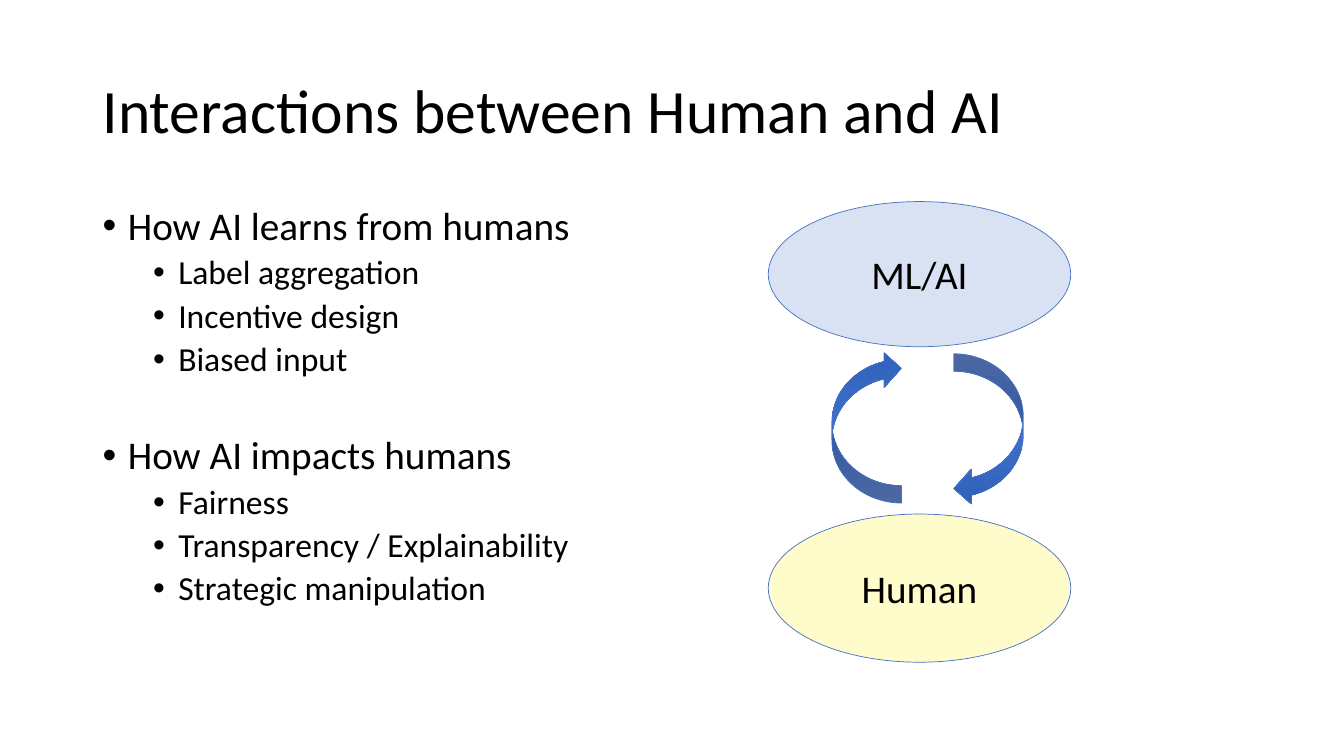
from copy import deepcopy

from pptx import Presentation
from pptx.dml.color import RGBColor
from pptx.enum.shapes import MSO_SHAPE as Shape
from pptx.enum.text import MSO_ANCHOR as Anchor, PP_ALIGN as Align
from pptx.oxml.ns import qn
from pptx.util import Inches, Pt
from lxml.etree import SubElement

BLACK = RGBColor(0x00, 0x00, 0x00)
BLUE = RGBColor(0x44, 0x72, 0xC4)
PALE = RGBColor(0xB4, 0xC7, 0xE7)
YELLOW = RGBColor(0xFF, 0xFB, 0x99)
SHADES = [RGBColor(0x61, 0x83, 0xCB), RGBColor(0x3E, 0x70, 0xCA),
          RGBColor(0x30, 0x62, 0xBB)]

TOPICS = [
    ("How AI learns from humans",
     ["Label aggregation", "Incentive design", "Biased input"]),
    ("How AI impacts humans",
     ["Fairness", "Transparency / Explainability", "Strategic manipulation"]),
]
TOPIC_GAP = 41


class Deck:
    font = "Calibri"

    def __init__(self, show):
        self.slide = show.slides.add_slide(show.slide_layouts[6])

    def add_text(self, para, text, size):
        run = para.add_run()
        run.text = text
        run.font.name = self.font
        run.font.size = Pt(size)
        run.font.color.rgb = BLACK

    def frame(self, *box):
        """Add a wrapping text box and return its text frame."""
        frame = self.slide.shapes.add_textbox(*map(Inches, box)).text_frame
        frame.word_wrap = True
        return frame

    def title(self, text, *box):
        frame = self.frame(*box)
        frame.vertical_anchor = Anchor.MIDDLE
        para = frame.paragraphs[0]
        para.line_spacing = 0.9
        self.add_text(para, text, 44)

    def bullet(self, para, text, level, gap):
        para.level = level
        para.line_spacing = 0.9
        para.space_before = Pt(gap)
        props = para._p.get_or_add_pPr()
        props.set("marL", str(Inches(0.25 + 0.5 * level)))
        props.set("indent", str(Inches(-0.25)))
        SubElement(props, qn("a:buFont")).set("typeface", "Arial")
        SubElement(props, qn("a:buChar")).set("char", "•")
        self.add_text(para, text, 28 - 4 * level)

    def topics(self, topics, *box):
        frame = self.frame(*box)
        for i, (head, points) in enumerate(topics):
            para = frame.add_paragraph() if i else frame.paragraphs[0]
            self.bullet(para, head, 0, TOPIC_GAP if i else 0)
            for point in points:
                self.bullet(frame.add_paragraph(), point, 1, 5)

    def shape(self, kind, *box):
        shape = self.slide.shapes.add_shape(kind, *map(Inches, box))
        shape.shadow.inherit = False
        shape.line.color.rgb = BLUE
        shape.line.width = Pt(0.5)
        return shape

    def oval(self, text, color, *box):
        """Add a labelled ellipse with a half-transparent fill."""
        oval = self.shape(Shape.OVAL, *box)
        oval.fill.solid()
        oval.fill.fore_color.rgb = color
        tint = oval._element.spPr.find(qn("a:solidFill"))[0]
        SubElement(tint, qn("a:alpha")).set("val", "50000")
        oval.text_frame.vertical_anchor = Anchor.MIDDLE
        para = oval.text_frame.paragraphs[0]
        para.alignment = Align.CENTER
        self.add_text(para, text, 28)

    def arrow(self, turn, *box):
        """Add a mirrored curved arrow, turned by the given degrees."""
        arrow = self.shape(Shape.CURVED_RIGHT_ARROW, *box)
        arrow.rotation = turn
        arrow._element.spPr.xfrm.set("flipH", "1")
        fill = arrow.fill
        fill.gradient()
        fill.gradient_angle = 270
        stops = arrow._element.spPr.find(qn("a:gradFill")).find(qn("a:gsLst"))
        stops.insert(1, deepcopy(stops[0]))
        for i, (stop, shade) in enumerate(zip(fill.gradient_stops, SHADES)):
            stop.position = i / 2
            stop.color.rgb = shade


def main():
    show = Presentation()
    show.slide_width, show.slide_height = Inches(13.33), Inches(7.5)
    deck = Deck(show)
    deck.title("Interactions between Human and AI", 0.92, 0.4, 11.5, 1.45)
    deck.topics(TOPICS, 0.92, 2, 11.5, 4.76)
    deck.oval("ML/AI", PALE, 7.62, 2, 3, 1.44)
    deck.oval("Human", YELLOW, 7.62, 5.1, 3, 1.47)
    deck.arrow(0, 9.46, 3.51, 0.69, 1.51)
    deck.arrow(180, 8.25, 3.48, 0.69, 1.51)
    show.save("out.pptx")


if __name__ == "__main__":
    main()
